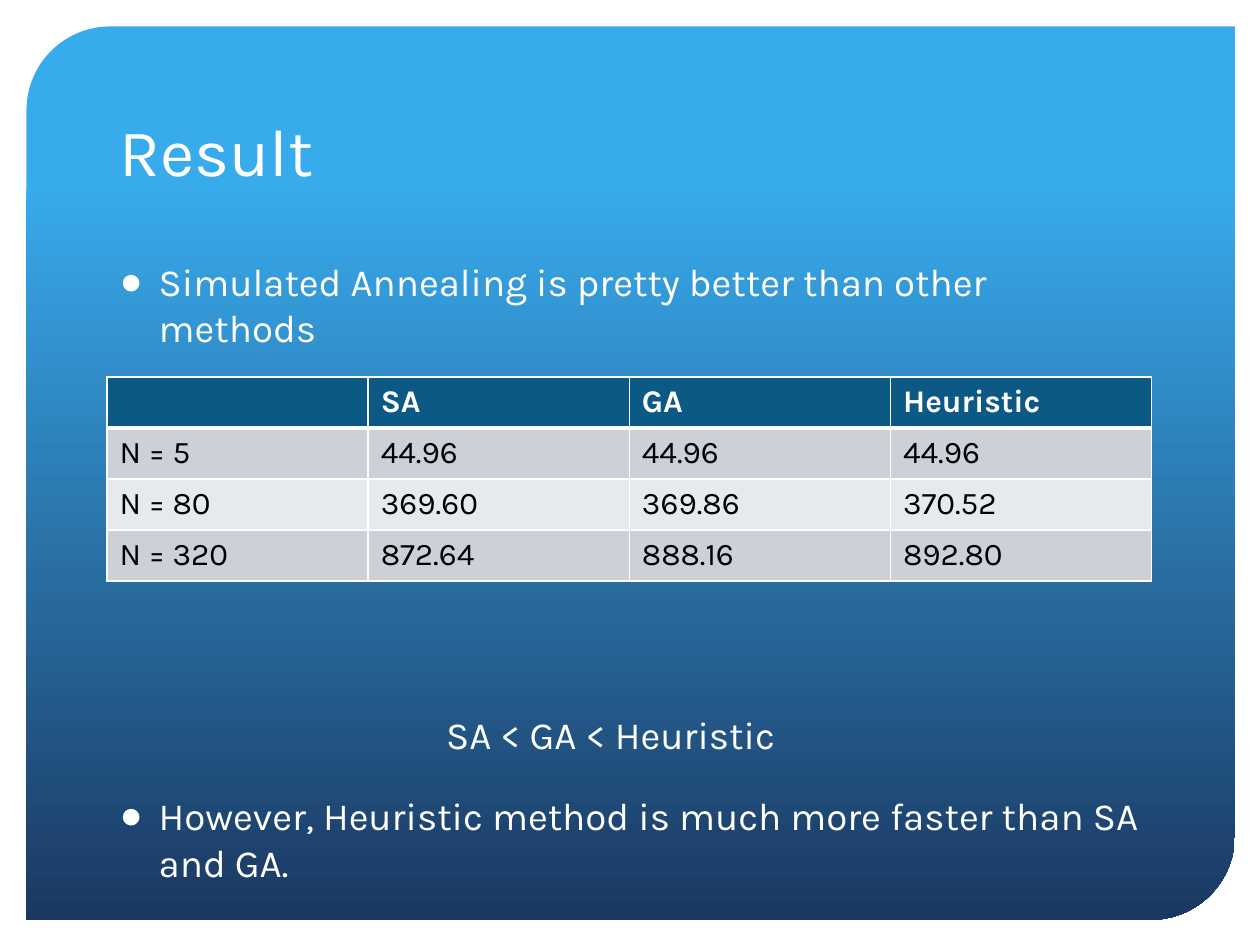
from dataclasses import dataclass

from lxml import etree
from pptx import Presentation
from pptx import util as u
from pptx.dml.color import RGBColor
from pptx.enum import shapes, text
from pptx.oxml import ns

FONT = "Karla"
WHITE = RGBColor(0xFF, 0xFF, 0xFF)
BLACK = RGBColor(0, 0, 0)
SKY = RGBColor(0x38, 0xAB, 0xED)
NAVY = RGBColor(0x1B, 0x38, 0x61)
TEAL = RGBColor(0x0C, 0x59, 0x86)
GREY = RGBColor(0xCC, 0xD1, 0xD9)
PALE = RGBColor(0xE7, 0xEA, 0xED)
LEFT, WIDTH = 0.85, 8.29


@dataclass
class Point:
    text: str
    before: float
    left: float = 0.31
    bullet: bool = True


POINTS = [
    Point("Simulated Annealing is pretty better than other methods", 0),
    Point("SA < GA < Heuristic", 206, 2.59, False),
    Point("However, Heuristic method is much more faster than SA and GA.", 20),
]
ROWS = [
    ("", "SA", "GA", "Heuristic"),
    ("N = 5", "44.96", "44.96", "44.96"),
    ("N = 80", "369.60", "369.86", "370.52"),
    ("N = 320", "872.64", "888.16", "892.80"),
]


def place(shape, top: float, height: float) -> None:
    shape.left, shape.top = u.Inches(LEFT), u.Inches(top)
    shape.width, shape.height = u.Inches(WIDTH), u.Inches(height)


def style(para, size: float, color: RGBColor, bold: bool = False) -> None:
    for run in para.runs:
        run.font.name, run.font.size = FONT, u.Pt(size)
        run.font.color.rgb, run.font.bold = color, bold


def add_panel(slide) -> None:
    panel = slide.shapes.add_shape(
        shapes.MSO_SHAPE.ROUND_2_DIAG_RECTANGLE,
        u.Inches(0.21), u.Inches(0.21), u.Inches(9.59), u.Inches(7.09))
    panel.adjustments[0], panel.adjustments[1] = 0.094, 0
    panel.shadow.inherit = False
    panel.line.fill.background()
    panel.fill.gradient()
    panel.fill.gradient_angle = 270
    for stop, (pos, color) in zip(panel.fill.gradient_stops,
                                  [(0.17, SKY), (1, NAVY)]):
        stop.position, stop.color.rgb = pos, color
    panel.element.getparent().insert(2, panel.element)


def add_title(slide) -> None:
    title = slide.shapes.title
    place(title, 0.42, 1.14)
    frame = title.text_frame
    frame.text = "Result"
    frame.auto_size = text.MSO_AUTO_SIZE.NONE
    frame.vertical_anchor = text.MSO_ANCHOR.BOTTOM
    frame.paragraphs[0].alignment = text.PP_ALIGN.LEFT
    style(frame.paragraphs[0], 38, WHITE)


def add_point(para, point: Point) -> None:
    para.text = point.text
    para.space_before = u.Pt(point.before)
    props = para._p.get_or_add_pPr()
    props.set("marL", str(u.Inches(point.left)))
    props.set("indent", str(u.Inches(-point.left if point.bullet else 0)))
    if point.bullet:
        etree.SubElement(props, ns.qn("a:buChar")).set("char", "●")
    else:
        etree.SubElement(props, ns.qn("a:buNone"))
    style(para, 22, WHITE)


def add_body(slide) -> None:
    body = slide.placeholders[1]
    place(body, 2, 4.6)
    frame = body.text_frame
    frame.auto_size = text.MSO_AUTO_SIZE.NONE
    for i, point in enumerate(POINTS):
        add_point(frame.add_paragraph() if i else frame.paragraphs[0], point)
    body.element.getparent().append(body.element)


def add_edge(cell, side: str, width: float) -> None:
    line = etree.SubElement(cell._tc.get_or_add_tcPr(), ns.qn("a:ln" + side))
    line.set("w", str(u.Pt(width)))
    fill = etree.SubElement(line, ns.qn("a:solidFill"))
    etree.SubElement(fill, ns.qn("a:srgbClr")).set("val", str(WHITE))


def add_grid(slide) -> None:
    grid = slide.shapes.add_table(
        len(ROWS), len(ROWS[0]), u.Inches(LEFT), u.Inches(2.99),
        u.Inches(WIDTH), u.Inches(1.62)).table
    for r, row in enumerate(ROWS):
        head = r == 0
        for c, value in enumerate(row):
            cell = grid.cell(r, c)
            cell.text_frame.text = value
            style(cell.text_frame.paragraphs[0], 18,
                  WHITE if head else BLACK, head)
            for side in "LRTB":
                thick = (r, side) in ((0, "B"), (1, "T"))
                add_edge(cell, side, 3 if thick else 1)
            cell.fill.solid()
            cell.fill.fore_color.rgb = TEAL if head else GREY if r % 2 else PALE


def main() -> None:
    deck = Presentation()
    deck.slide_width, deck.slide_height = u.Inches(10), u.Inches(7.5)
    slide = deck.slides.add_slide(deck.slide_layouts[1])
    add_panel(slide)
    add_title(slide)
    add_grid(slide)
    add_body(slide)
    deck.save("out.pptx")


if __name__ == "__main__":
    main()
